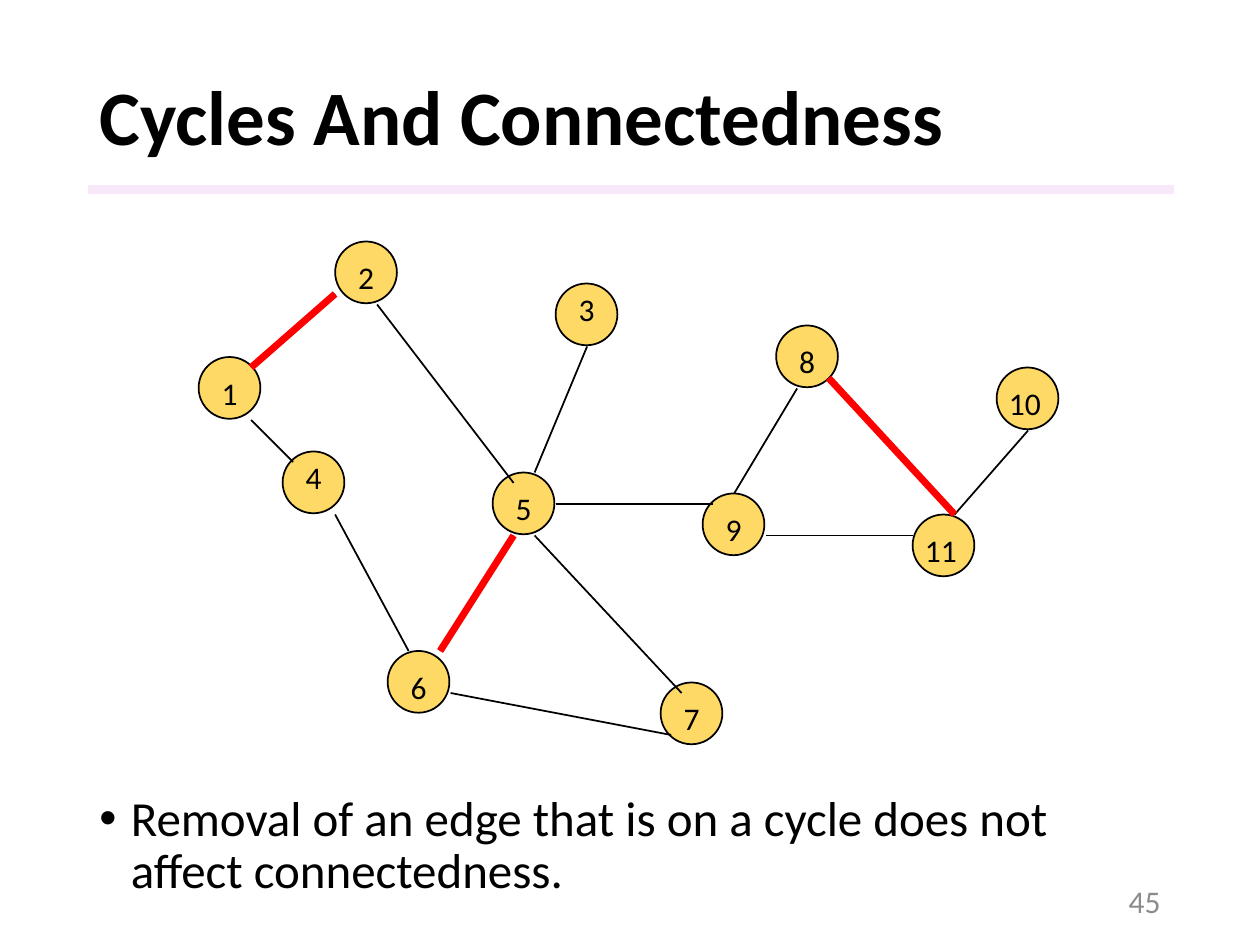
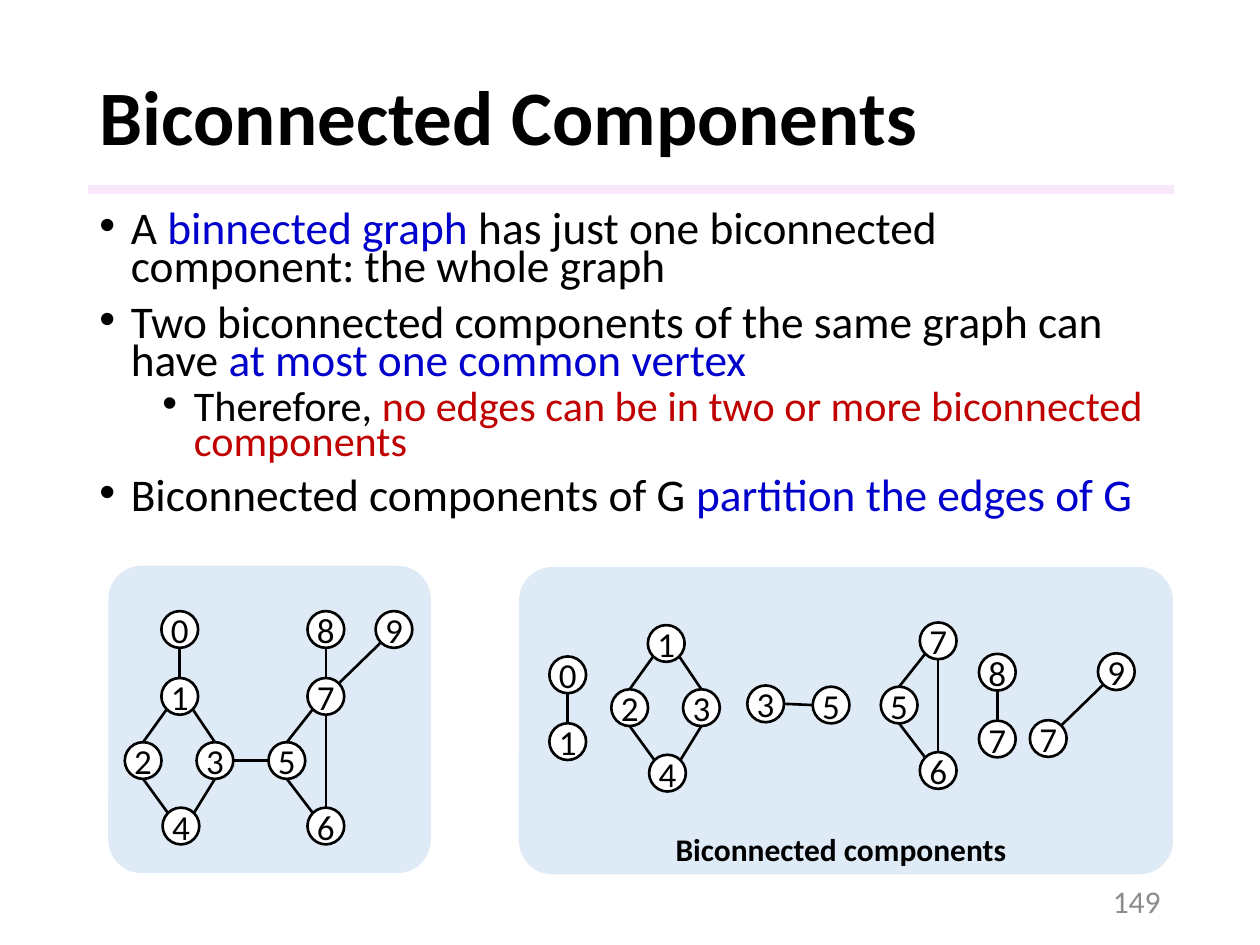
from math import cos, radians, sin

from lxml.etree import SubElement
from pptx import Presentation
from pptx.dml.color import RGBColor
from pptx.enum.shapes import MSO_CONNECTOR, MSO_SHAPE
from pptx.enum.text import MSO_ANCHOR, MSO_AUTO_SIZE, PP_ALIGN
from pptx.oxml.ns import qn
from pptx.util import Pt

FONT = "Calibri"
BLACK = RGBColor(0x00, 0x00, 0x00)
WHITE = RGBColor(0xFF, 0xFF, 0xFF)
GRAY = RGBColor(0x8C, 0x8C, 0x8C)
BLUE = RGBColor(0x00, 0x00, 0xCC)
CRIMSON = RGBColor(0xC0, 0x00, 0x00)
RED = RGBColor(0xFF, 0x00, 0x00)
GOLD = RGBColor(0xFF, 0xD9, 0x66)
PINK = RGBColor(0xF3, 0xD2, 0xF4)
SKY = RGBColor(0xDE, 0xEB, 0xF7)

# Connected graph, in grid units: vertex -> left, top
UNIT = 6
SPOTS = {1: (19, 34), 2: (32, 23), 3: (53, 27), 4: (27, 43), 5: (47, 45),
         6: (37, 62), 7: (63, 65), 8: (74, 31), 9: (67, 47), 10: (95, 35),
         11: (87, 49)}
# Label offsets that differ from one unit right and one unit down
NUDGES = {3: (1, 0), 4: (1, 0), 10: (0, 1), 11: (0, 1)}
# (vertex, vertex) -> end points, in grid units
LINKS = {(1, 2): (32, 28, 24, 35), (2, 5): (36, 29, 49, 46),
         (1, 4): (24, 40, 28, 44), (4, 6): (32, 49, 39, 62),
         (6, 7): (43, 66, 64, 70), (3, 5): (56, 33, 51, 45),
         (5, 7): (51, 51, 65, 66), (8, 9): (76, 37, 70, 47),
         (8, 11): (79, 36, 91, 49), (10, 11): (91, 49, 98, 41),
         (5, 9): (53, 48, 68, 48), (5, 6): (49, 51, 42, 62),
         (9, 11): (73, 51, 87, 51)}
REMOVED = [(5, 6), (1, 2), (8, 11)]

# Biconnected example, in points: vertex -> left, top
DISC = 21
PLACES = {0: (92.2, 349.2), 1: (92.2, 387.4), 2: (71.3, 424.1),
          3: (112.3, 424.1), 4: (92.9, 461.5), 5: (153.4, 424.1),
          6: (175.7, 461.5), 7: (175.7, 387.4), 8: (175.7, 349.2),
          9: (214.6, 349.2)}
ANGLES = {"E": 0, "SE": 45, "S": 90, "SW": 135, "W": 180, "NW": 225,
          "N": 270, "NE": 315}
EDGES = [(0, "S", 1, "N"), (1, "SW", 2, "N"), (1, "SE", 3, "N"),
         (2, "S", 4, "NW"), (3, "S", 4, "NE"), (3, "E", 5, "W"),
         (5, "N", 7, "SW"), (5, "S", 6, "NW"), (7, "S", 6, "N"),
         (8, "S", 7, "N"), (9, "SW", 7, "NE")]
# Vertices of each component and its shift from the whole graph
PARTS = [((0, 1), 221.7, 25.9), ((1, 2, 3, 4), 278, -30.2),
         ((3, 5), 313, -32), ((5, 6, 7), 349.9, -31.7),
         ((7, 8), 383.7, 24.4), ((7, 9), 412.8, 24.1)]
SNUG = {3: (1.7, -0.4), 5: (-2, 0.3)}


def style(run, size, color=BLACK, bold=False):
    font = run.font
    font.name, font.size, font.bold = FONT, Pt(size), bold
    font.color.rgb = color


def add_box(slide, x, y, w, h):
    frame = slide.shapes.add_textbox(Pt(x), Pt(y), Pt(w), Pt(h)).text_frame
    frame.word_wrap = True
    return frame


def add_text(slide, x, y, w, h, text, color=BLACK, align=PP_ALIGN.LEFT,
             bold=False):
    frame = add_box(slide, x, y, w, h)
    frame.text = text
    para = frame.paragraphs[0]
    para.alignment = align
    style(para.runs[0], 18, color, bold)
    return frame


def add_shape(slide, kind, x, y, w, h, fill, line=0):
    shape = slide.shapes.add_shape(kind, Pt(x), Pt(y), Pt(w), Pt(h))
    shape.shadow.inherit = False
    shape.fill.solid()
    shape.fill.fore_color.rgb = fill
    if line:
        shape.line.color.rgb = BLACK
        shape.line.width = Pt(line)
    else:
        shape.line.fill.background()
    return shape


def add_line(slide, x1, y1, x2, y2, color=BLACK, width=1.0):
    line = slide.shapes.add_connector(
        MSO_CONNECTOR.STRAIGHT, Pt(x1), Pt(y1), Pt(x2), Pt(y2))
    line.line.color.rgb = color
    line.line.width = Pt(width)
    SubElement(line._element.spPr, qn("a:effectLst"))


def add_bullets(slide, y, h, items, spacing):
    """Fill a text box; an item is (level, size, [(text, colour), ...])."""
    frame = add_box(slide, 49.7, y, 620.6, h)
    for i, (level, size, parts) in enumerate(items):
        para = frame.add_paragraph() if i else frame.paragraphs[0]
        para.level = level
        para.line_spacing = spacing
        if i:
            para.space_before = Pt(5 if level else 10)
        props = para._p.get_or_add_pPr()
        props.set("marL", str(Pt(54 if level else 18)))
        props.set("indent", str(Pt(-18)))
        SubElement(props, qn("a:buFont"), typeface="Arial")
        SubElement(props, qn("a:buChar"), char="•")
        for text, color in parts:
            run = para.add_run()
            run.text = text
            style(run, size, color)


def add_slide(deck, title, number):
    """Add a slide with its band, title and page number."""
    slide = deck.slides.add_slide(deck.slide_layouts[5])
    band = add_shape(slide, MSO_SHAPE.RECTANGLE, 50.4, 105.8, 620.6, 5, PINK)
    tint = band.fill._xPr.find(qn("a:solidFill"))[0]
    SubElement(tint, qn("a:alpha"), val="50000")
    head = slide.shapes.title
    head.left, head.top = Pt(49.7), Pt(28.8)
    head.width, head.height = Pt(620.6), Pt(80)
    frame = head.text_frame
    frame.text = title
    frame.auto_size = MSO_AUTO_SIZE.NONE
    frame.vertical_anchor = MSO_ANCHOR.MIDDLE
    para = frame.paragraphs[0]
    para.alignment, para.line_spacing = PP_ALIGN.LEFT, 0.9
    style(para.runs[0], 44, bold=True)
    page = add_text(slide, 508.3, 500.4, 162, 28.8, number, GRAY,
                    PP_ALIGN.RIGHT)
    page.vertical_anchor = MSO_ANCHOR.MIDDLE
    return slide


def grid(x, y):
    return x * UNIT - 0.5, y * UNIT


def add_link(slide, pair, color, width):
    x1, y1, x2, y2 = LINKS[pair]
    add_line(slide, *grid(x1, y1), *grid(x2, y2), color, width)


def draw_net(slide):
    for x, y in SPOTS.values():
        add_shape(slide, MSO_SHAPE.OVAL, *grid(x, y), 35.3, 35.3, GOLD, 1)
    for pair in LINKS:
        add_link(slide, pair, BLACK, 1)
    for key, (x, y) in SPOTS.items():
        dx, dy = NUDGES.get(key, (1, 1))
        wide = 18 if key < 10 else 36
        add_text(slide, *grid(x + dx, y + dy), wide, 31, str(key))
    for pair in REMOVED:
        add_link(slide, pair, RED, 4)


def add_disc(slide, x, y, key):
    disc = add_shape(slide, MSO_SHAPE.OVAL, x, y, DISC, DISC, WHITE, 1.5)
    frame = disc.text_frame
    frame.margin_left = frame.margin_right = 0
    frame.vertical_anchor = MSO_ANCHOR.MIDDLE
    frame.text = str(key)
    para = frame.paragraphs[0]
    para.alignment = PP_ALIGN.CENTER
    style(para.runs[0], 20)


def rim(spot, side):
    """Point on a disc's outline in a compass direction."""
    turn, half = radians(ANGLES[side]), DISC / 2
    return spot[0] + half + half * cos(turn), spot[1] + half + half * sin(turn)


def draw_graph(slide, keys, dx=0.0, dy=0.0, nudge=None):
    """Draw the part of the example graph that these vertices span."""
    spots = {}
    for key in keys:
        mx, my = (nudge or {}).get(key, (0, 0))
        spots[key] = PLACES[key][0] + dx + mx, PLACES[key][1] + dy + my
    for a, out, b, into in EDGES:
        if a in spots and b in spots:
            add_line(slide, *rim(spots[a], out), *rim(spots[b], into),
                     width=1.5)
    for key, (x, y) in spots.items():
        add_disc(slide, x, y, key)


def add_panel(slide, x, y, w):
    panel = add_shape(slide, MSO_SHAPE.ROUNDED_RECTANGLE, x, y, w, 175.7, SKY)
    panel.adjustments[0] = 0.109


def main():
    deck = Presentation()
    deck.slide_width, deck.slide_height = Pt(720), Pt(540)

    slide = add_slide(deck, "Cycles And Connectedness", "45")
    add_bullets(slide, 450, 70.6, [(0, 28, [
        ("Removal of an edge that is on a cycle does not affect "
         "connectedness.", BLACK)])], 0.9)
    draw_net(slide)

    slide = add_slide(deck, "Biconnected Components", "149")
    add_bullets(slide, 118.8, 198, [
        (0, 25.9, [("A ", BLACK), ("binnected graph", BLUE),
                   (" has just one biconnected component: the whole graph",
                    BLACK)]),
        (0, 25.9, [("Two biconnected components of the same graph can have ",
                    BLACK), ("at most one common vertex", BLUE)]),
        (1, 24.1, [("Therefore, ", BLACK),
                   ("no edges can be in two or more biconnected components",
                    CRIMSON)]),
        (0, 25.9, [("Biconnected components of G ", BLACK),
                   ("partition the edges of G", BLUE)])], 0.7)
    add_panel(slide, 61.9, 323.3, 184.3)
    add_panel(slide, 296.6, 324, 373.7)
    add_text(slide, 290.9, 470.9, 379.4, 28.8, "Biconnected components",
             align=PP_ALIGN.CENTER, bold=True)
    draw_graph(slide, PLACES)
    for keys, dx, dy in PARTS:
        draw_graph(slide, keys, dx, dy, SNUG if keys == (3, 5) else None)

    deck.save("out.pptx")


if __name__ == "__main__":
    main()
